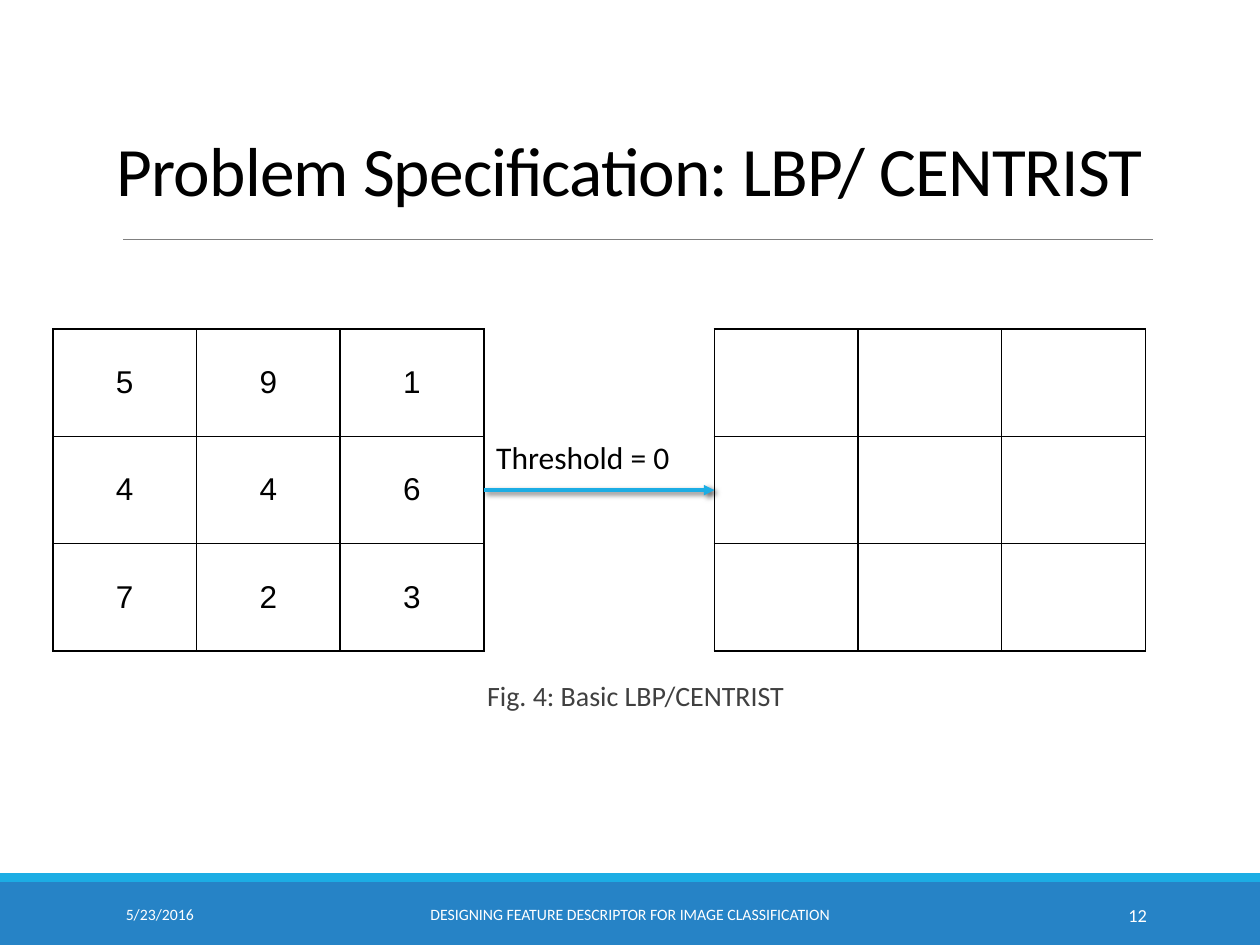
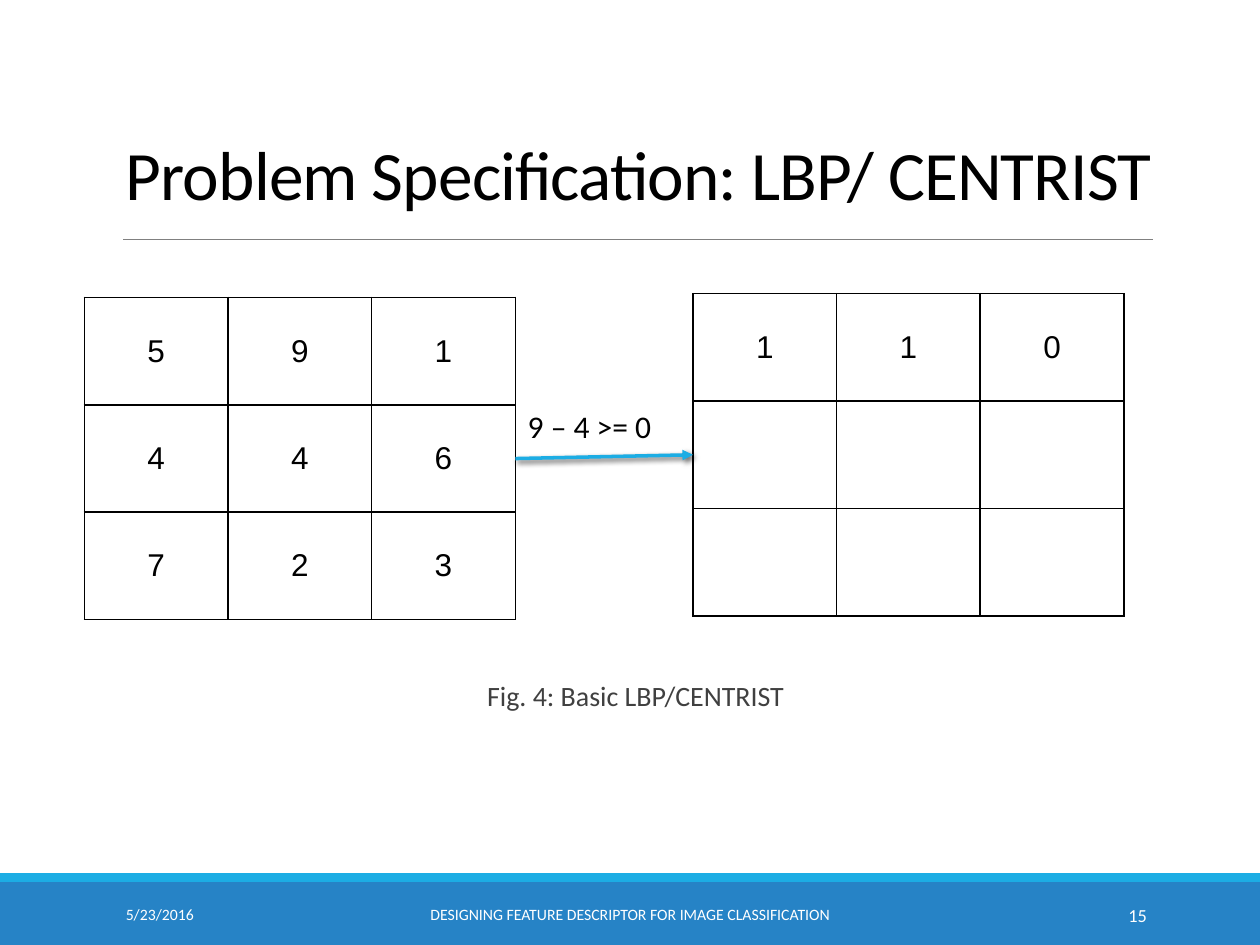
from dataclasses import dataclass

import lxml.etree
import pptx
import pptx.dml.color
import pptx.enum.shapes
import pptx.enum.text
import pptx.util
from pptx.oxml.ns import qn
from pptx.util import Inches

ALIGN = pptx.enum.text.PP_ALIGN
ANCHOR = pptx.enum.text.MSO_ANCHOR


@dataclass(frozen=True)
class Theme:
    band: str = "2683C6"
    accent: str = "1CADE4"
    rule: str = "808080"
    ink: str = "000000"
    soft: str = "404040"
    light: str = "FFFFFF"
    face: str = "Calibri"
    digit: str = "Arial"
    head: float = 39.6
    body: float = 18
    note: float = 16
    page: float = 10.5
    foot: float = 9
    cell: float = 1.14
    row: float = 0.853


TITLE = "Problem Specification: LBP/ CENTRIST"
FIGURE = "Fig. 4: Basic LBP/CENTRIST"
DATE = "5/23/2016"
TOPIC = "DESIGNING FEATURE DESCRIPTOR FOR IMAGE CLASSIFICATION"
PIXELS = ["591", "446", "723"]
BLANK = "   "


def color(code):
    return pptx.dml.color.RGBColor.from_string(code)


def add(parent, tag, **attrs):
    return lxml.etree.SubElement(parent, qn(tag), attrs)


class Deck:
    def __init__(self, theme):
        self.theme = theme
        self.file = pptx.Presentation()
        self.file.slide_width = Inches(10)
        self.file.slide_height = Inches(7.5)
        self.slide = None

    def style(self, para, size, ink, face=None, align=ALIGN.LEFT):
        para.alignment = align
        para.font.size = pptx.util.Pt(size)
        para.font.name = face or self.theme.face
        para.font.color.rgb = color(ink)

    def text(self, words, box, size, ink, align=ALIGN.LEFT, anchor=ANCHOR.TOP):
        frame = self.slide.shapes.add_textbox(*map(Inches, box)).text_frame
        frame.word_wrap = True
        frame.vertical_anchor = anchor
        para = frame.paragraphs[0]
        para.text = words
        self.style(para, size, ink, align=align)
        return frame

    def band(self, top, height, fill):
        shape = self.slide.shapes.add_shape(
            pptx.enum.shapes.MSO_SHAPE.RECTANGLE,
            *map(Inches, (0, top, 10, height)))
        shape.shadow.inherit = False
        shape.fill.solid()
        shape.fill.fore_color.rgb = color(fill)
        shape.line.fill.background()

    def line(self, start, end, ink, width):
        """Draw a straight line; return it with its empty effect list."""
        link = self.slide.shapes.add_connector(
            pptx.enum.shapes.MSO_CONNECTOR.STRAIGHT,
            *map(Inches, (*start, *end)))
        link.line.color.rgb = color(ink)
        link.line.width = pptx.util.Pt(width)
        return link, add(link._element.spPr, "a:effectLst")

    def arrow(self, start, end):
        link, effects = self.line(start, end, self.theme.accent, 2)
        add(link.line._get_or_add_ln(), "a:tailEnd", type="triangle")
        shade = add(effects, "a:outerShdw", blurRad=str(pptx.util.Pt(3)),
                    dist=str(pptx.util.Pt(2)), dir=str(45 * 60000))
        tone = add(shade, "a:srgbClr", val=self.theme.ink)
        add(tone, "a:alpha", val="60000")

    def border(self, cell):
        props = cell._tc.get_or_add_tcPr()
        for side in "LRTB":
            edge = add(props, f"a:ln{side}", w=str(pptx.util.Pt(1)))
            add(add(edge, "a:solidFill"), "a:srgbClr", val=self.theme.ink)

    def grid(self, left, top, rows):
        """Draw a pixel grid, each string in rows holding one digit a cell."""
        look = self.theme
        count = len(rows)
        table = self.slide.shapes.add_table(
            count, count, Inches(left), Inches(top),
            Inches(look.cell * count), Inches(look.row * count)).table
        table.first_row = table.horz_banding = False
        for col in table.columns:
            col.width = Inches(look.cell)
        for row, digits in zip(table.rows, rows):
            row.height = Inches(look.row)
            for cell, digit in zip(row.cells, digits):
                self.border(cell)
                cell.fill.background()
                cell.vertical_anchor = ANCHOR.MIDDLE
                para = cell.text_frame.paragraphs[0]
                para.text = digit.strip()
                self.style(para, look.body, look.ink, look.digit, ALIGN.CENTER)

    def title(self, box):
        look = self.theme
        frame = self.text(TITLE, box, look.head, look.ink, anchor=ANCHOR.BOTTOM)
        para = frame.paragraphs[0]
        para.line_spacing = 0.85
        para.runs[0]._r.get_or_add_rPr().set("spc", "-50")

    def caption(self):
        look = self.theme
        frame = self.text(FIGURE, (1.42, 5.37, 7.25, 0.55), look.note,
                          look.soft, ALIGN.CENTER)
        frame.margin_left = frame.margin_right = 0
        frame.paragraphs[0].line_spacing = 0.9

    def footer(self, page):
        look = self.theme
        for words, left, width, size, align in (
                (DATE, 0.9, 2.03, look.foot, ALIGN.LEFT),
                (TOPIC, 3.02, 3.96, look.foot, ALIGN.CENTER),
                (page, 8.12, 1.08, look.page, ALIGN.RIGHT)):
            self.text(words, (left, 7.06, width, 0.4), size, look.light,
                      align, ANCHOR.MIDDLE)

    def start(self, page, title):
        """Add a slide with everything the slides share."""
        look = self.theme
        self.slide = self.file.slides.add_slide(self.file.slide_layouts[6])
        self.band(7, 0.5, look.band)
        self.band(6.93, 0.07, look.accent)
        self.line((0.98, 1.9), (9.15, 1.9), look.rule, 0.5)
        self.title(title)
        self.caption()
        self.footer(page)

    def step(self, source, target, result, label, width):
        """Link the pixel grid to its result grid by a labelled arrow."""
        look = self.theme
        self.grid(*source, PIXELS)
        self.grid(*target, result)
        half = look.row * 1.5
        left = source[0] + look.cell * 3
        mid = source[1] + half
        self.arrow((left, mid), (target[0], target[1] + half))
        self.text(label, (left, mid - 0.46, width, 0.4), look.body, look.ink)


def main():
    deck = Deck(Theme())
    deck.start("12", (0.83, 0.5, 8.6, 1.22))
    deck.step((0.42, 2.61), (5.67, 2.61), [BLANK] * 3, "Threshold = 0", 1.83)
    deck.start("15", (0.9, 0.57, 8.52, 1.18))
    deck.step((0.67, 2.36), (5.5, 2.33), ["110", BLANK, BLANK],
              "9 – 4 >= 0", 1.33)
    deck.file.save("out.pptx")


if __name__ == "__main__":
    main()
